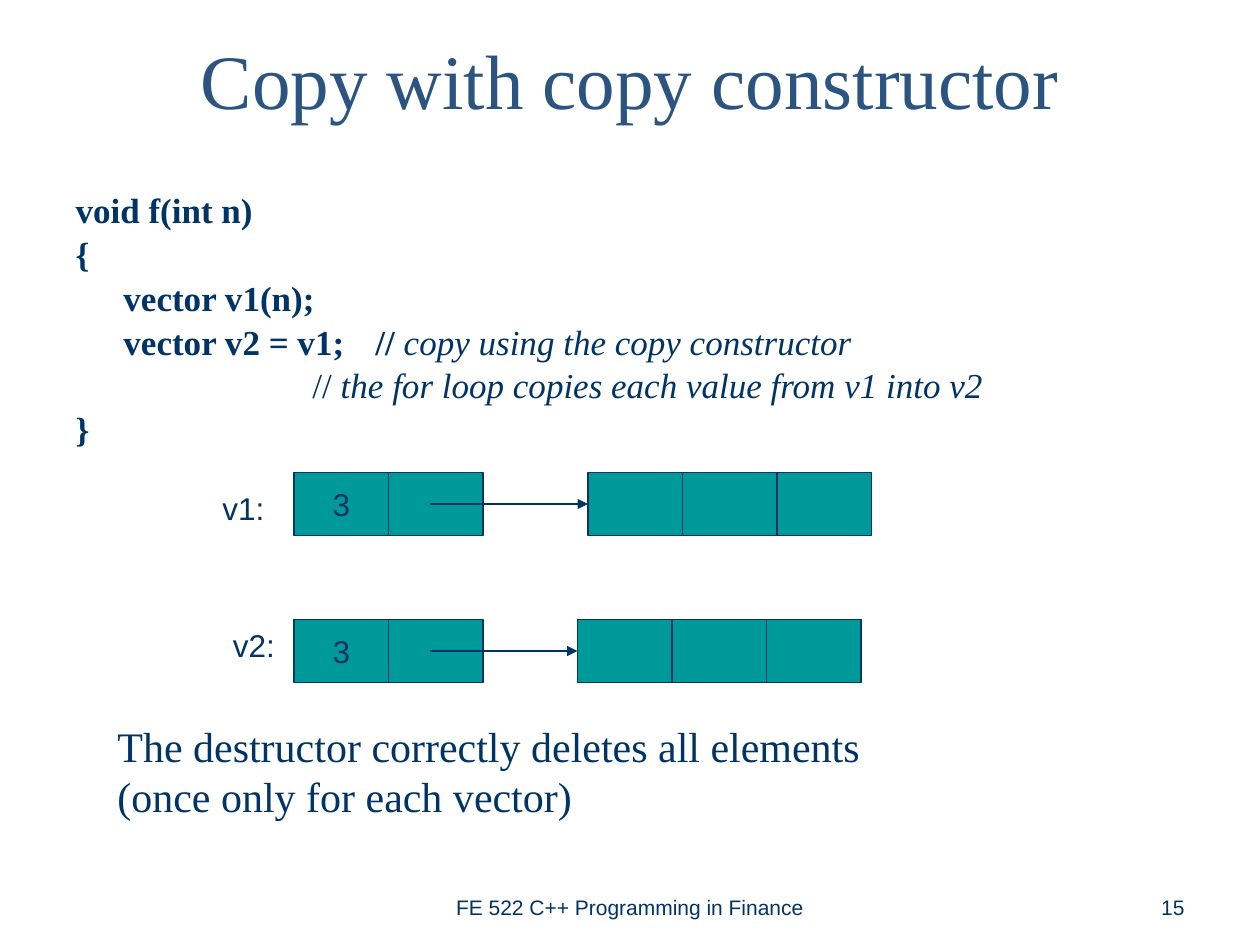
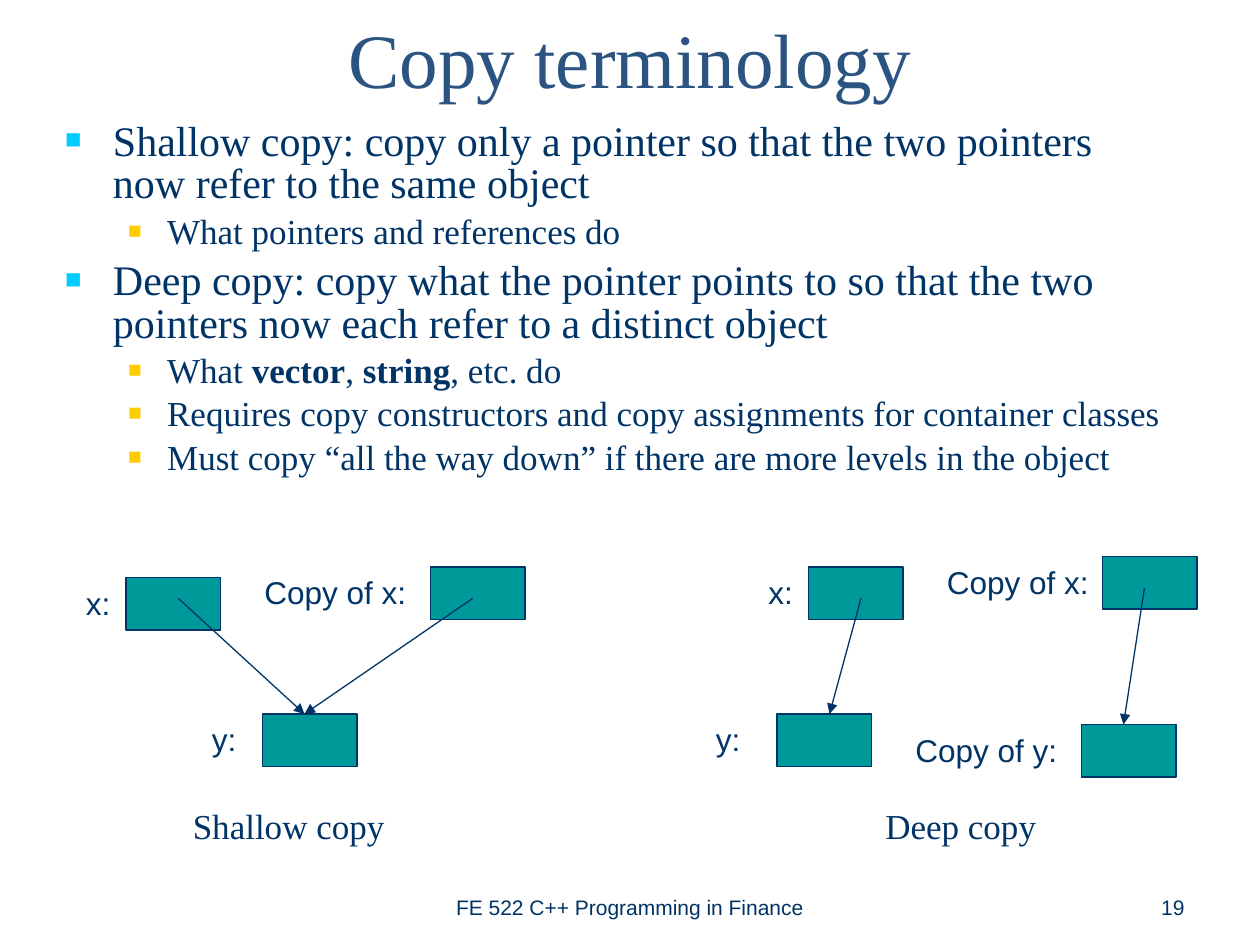
from pptx import Presentation
from pptx.dml.color import RGBColor
from pptx.enum.shapes import MSO_CONNECTOR, MSO_SHAPE
from pptx.enum.text import MSO_ANCHOR, MSO_AUTO_SIZE, PP_ALIGN
from pptx.oxml.ns import qn
from pptx.util import Inches, Pt
from lxml.etree import SubElement

COLUMNS, ROWS = 120, 90
WIDTH, HEIGHT = Inches(10), Inches(7.5)
NAVY, TITLE_BLUE, TEAL, CYAN, YELLOW = "003366", "2B5481", "009999", "00CCFF", "FFCC00"
SERIF, SANS = "Times New Roman", "Arial"

TITLE = dict(name=SERIF, size=Pt(44), color=TITLE_BLUE, bold=False)
LARGE = dict(name=SERIF, size=Pt(24), color=NAVY)
MEDIUM = dict(name=SERIF, size=Pt(20), color=NAVY)
LABEL = dict(name=SANS, size=Pt(18), color=NAVY)
FOOTER = dict(name=SANS, size=Pt(12), color=NAVY)
BOLD, ITALIC = dict(bold=True), dict(italic=True)

CODE = [
    [("void f(int n)", BOLD)],
    [("{", BOLD)],
    [("\tvector v1(n);", BOLD)],
    [("\tvector v2 = v1;\t// ", BOLD), ("copy using the copy constructor", ITALIC)],
    [("\t\t\t\t// ", {}), ("the for loop copies each value from v1 into v2", ITALIC)],
    [("}", BOLD)],
]

TERMS = [
    (0, [("Shallow copy: copy only a pointer so that the two pointers now refer to the same object", {})]),
    (1, [("What pointers and references do", {})]),
    (0, [("Deep copy: copy what the pointer points to so that the two pointers now each refer to a distinct object", {})]),
    (1, [("What ", {}), ("vector", BOLD), (", ", {}), ("string", BOLD), (", etc. do", {})]),
    (1, [("Requires copy constructors and copy assignments for container classes", {})]),
    (1, [("Must copy “all the way down” if there are more levels in the object", {})]),
]
LEVELS = [
    dict(style=LARGE, margin=0.38, indent=-0.38, before=5.5, color=CYAN),
    dict(style=MEDIUM, margin=0.81, indent=-0.31, before=4.6, color=YELLOW),
]

SHALLOW = dict(
    caption=("Shallow copy", 2),
    nodes=[("x:", (0, 2, 8), (5, 2)), ("Copy of x:", (17, 1, 16), (34, 1)), ("y:", (12, 15, 8), (18, 15))],
    pointers=[((10, 4), (22, 15)), ((38, 4), (22, 15))],
)
DEEP = dict(
    caption=("Deep copy", 6),
    nodes=[("x:", (5, 1, 8), (10, 1)), ("Copy of x:", (22, 0, 16), (38, 0)),
           ("y:", (0, 15, 8), (7, 15)), ("Copy of y:", (19, 16, 19), (36, 16))],
    pointers=[((15, 4), (12, 15)), ((42, 3), (40, 16))],
)


def rgb(value):
    return RGBColor.from_string(value)


def across(columns):
    return round(WIDTH * columns / COLUMNS)


def down(rows):
    return round(HEIGHT * rows / ROWS)


def place(box):
    left, top, width, height = box
    return across(left), down(top), across(width), down(height)


def set_all(target, values):
    for key, value in values.items():
        setattr(target, key, value)


def add_span(para, text, style):
    span = para.add_run()
    span.text = text
    values = dict(style)
    span.font.color.rgb = rgb(values.pop("color"))
    set_all(span.font, values)


def write(frame, lines, style, align=PP_ALIGN.LEFT, anchor=MSO_ANCHOR.TOP, wrap=True):
    set_all(frame, dict(word_wrap=wrap, vertical_anchor=anchor, auto_size=MSO_AUTO_SIZE.NONE))
    para = frame.paragraphs[0]
    para.alignment = align
    for index, line in enumerate(lines):
        if index:
            para.add_line_break()
        add_span(para, line, style)


def add_text(page, box, lines, style, **layout):
    write(page.shapes.add_textbox(*place(box)).text_frame, lines, style, **layout)


def add_cell(page, box, text=None):
    cell = page.shapes.add_shape(MSO_SHAPE.RECTANGLE, *place(box))
    cell.shadow.inherit = False
    cell.fill.solid()
    cell.fill.fore_color.rgb = rgb(TEAL)
    cell.line.color.rgb = rgb(NAVY)
    cell.line.width = Pt(0.75)
    if text:
        write(cell.text_frame, [text], LABEL, PP_ALIGN.CENTER, MSO_ANCHOR.MIDDLE, wrap=False)
    return cell


def add_pointer(page, start, end):
    pointer = page.shapes.add_connector(
        MSO_CONNECTOR.STRAIGHT, across(start[0]), down(start[1]), across(end[0]), down(end[1]))
    pointer.line.color.rgb = rgb(NAVY)
    pointer.line.width = Pt(0.75)
    SubElement(pointer.line._get_or_add_ln(), qn("a:tailEnd"), type="triangle")
    SubElement(pointer._element.spPr, qn("a:effectLst"))
    return pointer


def start_page(deck, title, title_top, number):
    page = deck.slides.add_slide(deck.slide_layouts[1])
    heading = page.shapes.title
    set_all(heading, dict(zip(("left", "top", "width", "height"), place((6, title_top, 108, 15)))))
    write(heading.text_frame, [title], TITLE, PP_ALIGN.CENTER, MSO_ANCHOR.MIDDLE)
    add_text(page, (41, 82, 38, 6.2), ["FE 522 C++ Programming in Finance"], FOOTER,
             align=PP_ALIGN.CENTER, anchor=MSO_ANCHOR.BOTTOM)
    add_text(page, (86, 82, 28, 6.2), [number], FOOTER, align=PP_ALIGN.RIGHT, anchor=MSO_ANCHOR.BOTTOM)
    return page


def fill_body(page, box, rows):
    body = page.placeholders[1]
    set_all(body, dict(zip(("left", "top", "width", "height"), place(box))))
    frame = body.text_frame
    set_all(frame, dict(word_wrap=True, vertical_anchor=MSO_ANCHOR.TOP, auto_size=MSO_AUTO_SIZE.NONE))
    for index, (level, spans, style, before) in enumerate(rows):
        para = frame.add_paragraph() if index else frame.paragraphs[0]
        set_all(para, dict(level=level, line_spacing=0.85, space_before=Pt(before), alignment=PP_ALIGN.LEFT))
        for text, emphasis in spans:
            add_span(para, text, {**style, **emphasis})
        yield para


def set_indent(para, margin, indent):
    properties = para._p.get_or_add_pPr()
    properties.set("marL", str(Inches(margin)))
    properties.set("indent", str(Inches(indent)))
    return properties


def code_listing(page, box):
    for para in fill_body(page, box, [(0, spans, MEDIUM, 4.6) for spans in CODE]):
        properties = set_indent(para, 0.38, -0.38)
        SubElement(properties, qn("a:buNone"))
        stops = SubElement(properties, qn("a:tabLst"))
        for inch in range(8):
            SubElement(stops, qn("a:tab"), pos=str(Inches(inch)), algn="l")


def term_list(page, box):
    rows = [(level, spans, LEVELS[level]["style"], LEVELS[level]["before"]) for level, spans in TERMS]
    for para in fill_body(page, box, rows):
        look = LEVELS[para.level]
        properties = set_indent(para, look["margin"], look["indent"])
        SubElement(SubElement(properties, qn("a:buClr")), qn("a:srgbClr"), val=look["color"])
        SubElement(properties, qn("a:buSzPct"), val="65000")
        SubElement(properties, qn("a:buFont"), typeface=SANS)
        SubElement(properties, qn("a:buChar"), char="■")


def vector_diagram(page, box, name, label_shift, elements_shift):
    left, top, width, height = box
    add_text(page, (left + label_shift[0], top + label_shift[1], 8, 4.8), [name], LABEL)
    add_cell(page, box, "3")
    add_cell(page, (left + width, top, width, height))
    elements = [add_cell(page, (left + elements_shift + index * width, top, width, height)) for index in range(3)]
    middle = top + height / 2
    pointer = add_pointer(page, (left + 13, middle), (left + elements_shift, middle))
    pointer.end_connect(elements[0], 1)


def copy_diagram(page, origin, diagram):
    left, top = origin
    for name, (label_left, label_top, label_width), (cell_left, cell_top) in diagram["nodes"]:
        add_cell(page, (left + cell_left, top + cell_top, 9, 5))
        add_text(page, (left + label_left, top + label_top, label_width, 4.8), [name], LABEL)
    for ends in diagram["pointers"]:
        add_pointer(page, *[(left + column, top + row) for column, row in ends])
    caption, shift = diagram["caption"]
    add_text(page, (left + shift, top + 23, 37, 5.25), [caption], MEDIUM, align=PP_ALIGN.CENTER)


def constructor_page(deck):
    page = start_page(deck, "Copy with copy constructor", 0, "15")
    code_listing(page, (6, 18, 108, 25))
    vector_diagram(page, (28, 45, 9, 6), "v1:", (-8, 1), 28)
    vector_diagram(page, (28, 59, 9, 6), "v2:", (-7, 0), 27)
    add_text(page, (10, 68, 94, 10.8),
             ["The destructor correctly deletes all elements", "(once only for each vector)"], LARGE)


def terminology_page(deck):
    page = start_page(deck, "Copy terminology", -2, "19")
    term_list(page, (5, 11, 108, 34))
    copy_diagram(page, (7, 53), SHALLOW)
    copy_diagram(page, (67, 53), DEEP)


def main():
    deck = Presentation()
    set_all(deck, dict(slide_width=WIDTH, slide_height=HEIGHT))
    constructor_page(deck)
    terminology_page(deck)
    deck.save("out.pptx")


if __name__ == "__main__":
    main()
